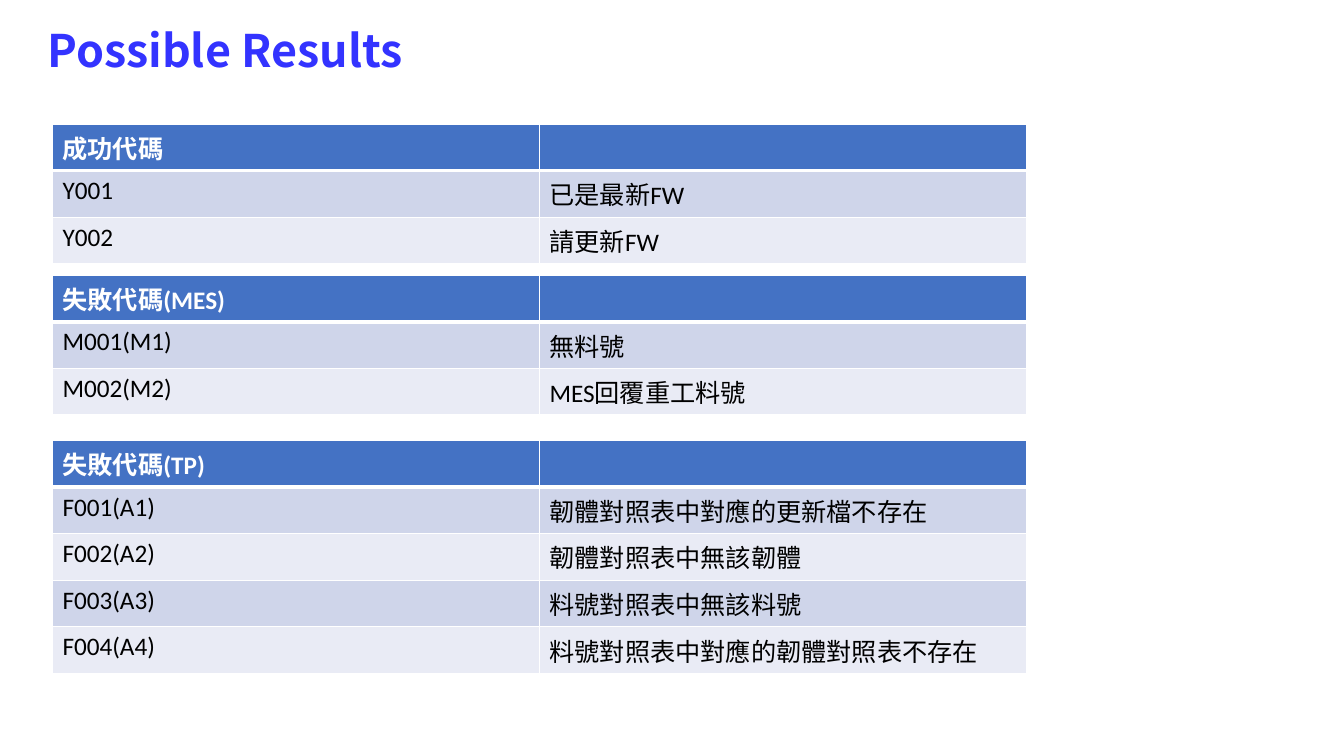
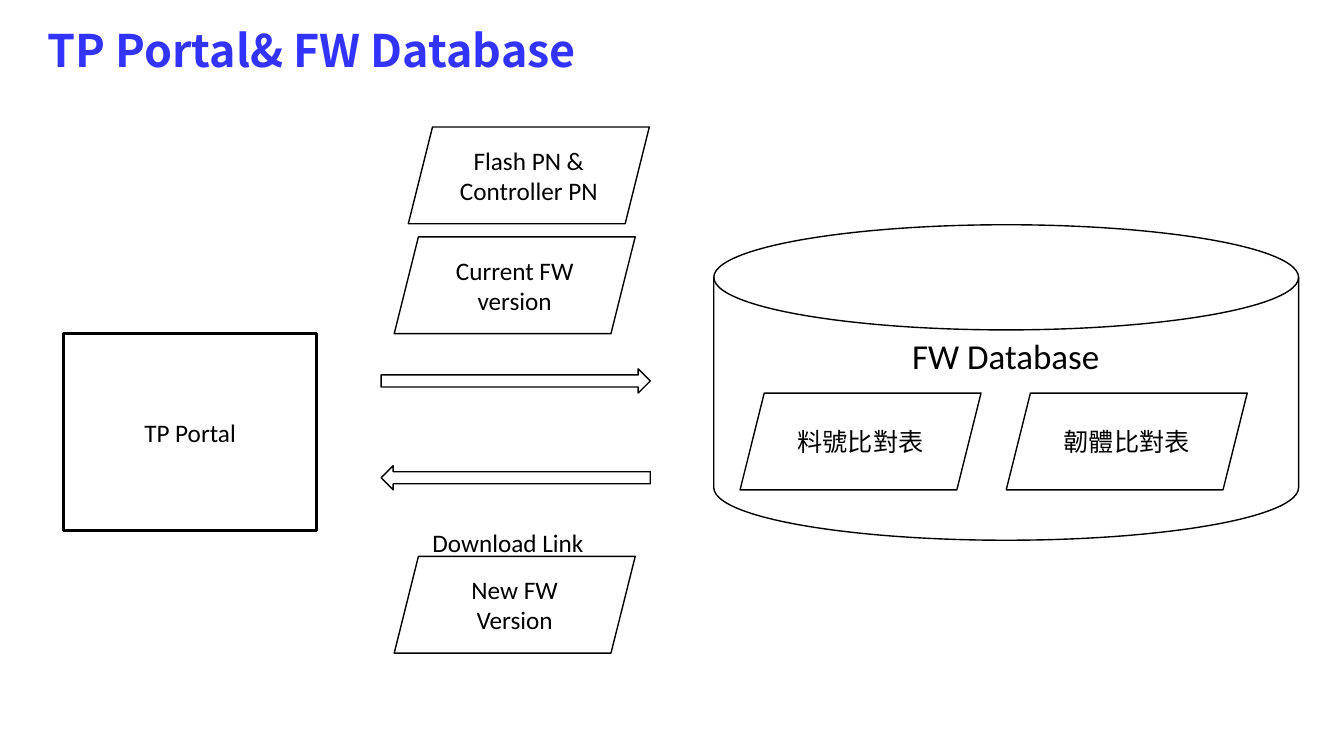
from pptx import Presentation
from pptx.dml.color import RGBColor
from pptx.enum.shapes import MSO_SHAPE
from pptx.enum.text import MSO_ANCHOR, PP_ALIGN
from pptx.oxml import parse_xml
from pptx.oxml.ns import nsdecls
from pptx.util import Inches, Pt

COLORS = {
    "title": "3333FF",
    "header": "4472C4",
    "odd": "CFD5EA",
    "even": "E9EBF5",
    "white": "FFFFFF",
    "black": "000000",
}
BODY_FONT = "Calibri"
CJK_FONT = "Noto Sans CJK SC"
FONTS = {
    "title": {"name": CJK_FONT, "size": Pt(32), "bold": True},
    "header": {"name": BODY_FONT, "size": Pt(18), "bold": True},
    "body": {"name": BODY_FONT, "size": Pt(18), "bold": False},
    "cjk": {"name": CJK_FONT, "size": Pt(18), "bold": False},
    "label": {"name": BODY_FONT, "size": Pt(25), "bold": False},
}
TITLE_FRAME = {"word_wrap": True, "vertical_anchor": MSO_ANCHOR.MIDDLE}
TITLE_PARAGRAPH = {"alignment": PP_ALIGN.LEFT, "line_spacing": 0.9}


def color(name):
    return RGBColor.from_string(COLORS[name])


def apply(target, values):
    for name, value in values.items():
        setattr(target, name, value)


def place(left, top, width, height):
    return [Inches(value) for value in (left, top, width, height)]


class SlideBuilder:
    def __init__(self, deck):
        self.deck = deck
        self.slide = None

    def set_text(self, frame, text, font="body", ink="black", **paragraph_format):
        para = frame.paragraphs[0]
        para.text = text
        apply(para, paragraph_format)
        for span in para.runs:
            apply(span.font, FONTS[font])
            span.font.color.rgb = color(ink)

    def start(self, title):
        self.slide = self.deck.slides.add_slide(self.deck.slide_layouts[5])
        box = self.slide.shapes.title
        apply(box, dict(zip(("left", "top", "width", "height"), place(0.37, 0.18, 8.24, 0.69))))
        apply(box.text_frame, TITLE_FRAME)
        self.set_text(box.text_frame, title, "title", "title", **TITLE_PARAGRAPH)

    def cell_borders(self, cell, bottom_width):
        properties = cell._tc.get_or_add_tcPr()
        for side, width in (("L", 1), ("R", 1), ("T", 1), ("B", bottom_width)):
            properties.append(parse_xml(
                f'<a:ln{side} {nsdecls("a")} w="{Pt(width)}"><a:solidFill>'
                f'<a:srgbClr val="{COLORS["white"]}"/></a:solidFill></a:ln{side}>'
            ))

    def table(self, top, heading, codes, description_font="body"):
        rows = [(heading, ""), *codes]
        row_height = 0.406
        frame = self.slide.shapes.add_table(
            len(rows), 2, *place(0.52, top, 9.66, row_height * len(rows)))
        for row_index, row in enumerate(rows):
            is_header = row_index == 0
            fill = "header" if is_header else "odd" if row_index % 2 else "even"
            for column_index, text in enumerate(row):
                cell = frame.table.cell(row_index, column_index)
                self.cell_borders(cell, 3 if is_header else 1)
                cell.fill.solid()
                cell.fill.fore_color.rgb = color(fill)
                if is_header:
                    self.set_text(cell.text_frame, text, "header", "white")
                else:
                    font = description_font if column_index else "body"
                    self.set_text(cell.text_frame, text, font)

    def shape(self, kind, left, top, width, height, text="", line_width=1, filled=True):
        box = self.slide.shapes.add_shape(kind, *place(left, top, width, height))
        box.shadow.inherit = False
        if filled:
            box.fill.solid()
            box.fill.fore_color.rgb = color("white")
        else:
            box.fill.background()
        box.line.color.rgb = color("black")
        box.line.width = Pt(line_width)
        if text:
            apply(box.text_frame, {"word_wrap": True, "vertical_anchor": MSO_ANCHOR.MIDDLE})
            self.set_text(box.text_frame, text, alignment=PP_ALIGN.CENTER)

    def data(self, left, top, text):
        self.shape(MSO_SHAPE.PARALLELOGRAM, left, top, 2.39, 0.96, text)

    def label(self, left, top, width, height, text, font="body", wrap=True,
              alignment=PP_ALIGN.LEFT):
        box = self.slide.shapes.add_textbox(*place(left, top, width, height))
        box.text_frame.word_wrap = wrap
        self.set_text(box.text_frame, text, font, alignment=alignment)


def build_results(builder):
    builder.start("Possible Results")
    builder.table(1.23, "成功代碼", [("Y001", "已是最新FW"), ("Y002", "請更新FW")])
    builder.table(2.73, "失敗代碼(MES)", [
        ("M001(M1)", "無料號"),
        ("M002(M2)", "MES回覆重工料號"),
    ])
    builder.table(4.37, "失敗代碼(TP)", [
        ("F001(A1)", "韌體對照表中對應的更新檔不存在"),
        ("F002(A2)", "韌體對照表中無該韌體"),
        ("F003(A3)", "料號對照表中無該料號"),
        ("F004(A4)", "料號對照表中對應的韌體對照表不存在"),
    ], "cjk")


def build_portal(builder):
    builder.start("TP Portal& FW Database")
    builder.shape(MSO_SHAPE.FLOWCHART_MAGNETIC_DISK, 7.08, 2.23, 5.8, 3.13)
    builder.shape(MSO_SHAPE.RECTANGLE, 0.63, 3.31, 2.51, 1.95, "TP Portal", 2.25, False)
    for left, top, text in (
        (4.05, 1.26, "Flash PN &\vController PN"),
        (3.91, 2.35, "Current FW version"),
        (7.34, 3.9, "料號比對表"),
        (9.98, 3.9, "韌體比對表"),
        (3.91, 5.52, "New FW Version"),
    ):
        builder.data(left, top, text)
    for kind, top in ((MSO_SHAPE.RIGHT_ARROW, 3.66), (MSO_SHAPE.LEFT_ARROW, 4.62)):
        builder.shape(kind, 3.78, top, 2.67, 0.24)
    builder.label(4.19, 5.18, 1.72, 0.4, "Download Link", wrap=False)
    builder.label(8.77, 3.27, 2.41, 0.52, "FW Database", "label", alignment=PP_ALIGN.CENTER)


def main():
    deck = Presentation()
    apply(deck, {"slide_width": Inches(13.33), "slide_height": Inches(7.5)})
    builder = SlideBuilder(deck)
    build_results(builder)
    build_portal(builder)
    deck.save("out.pptx")


if __name__ == "__main__":
    main()
